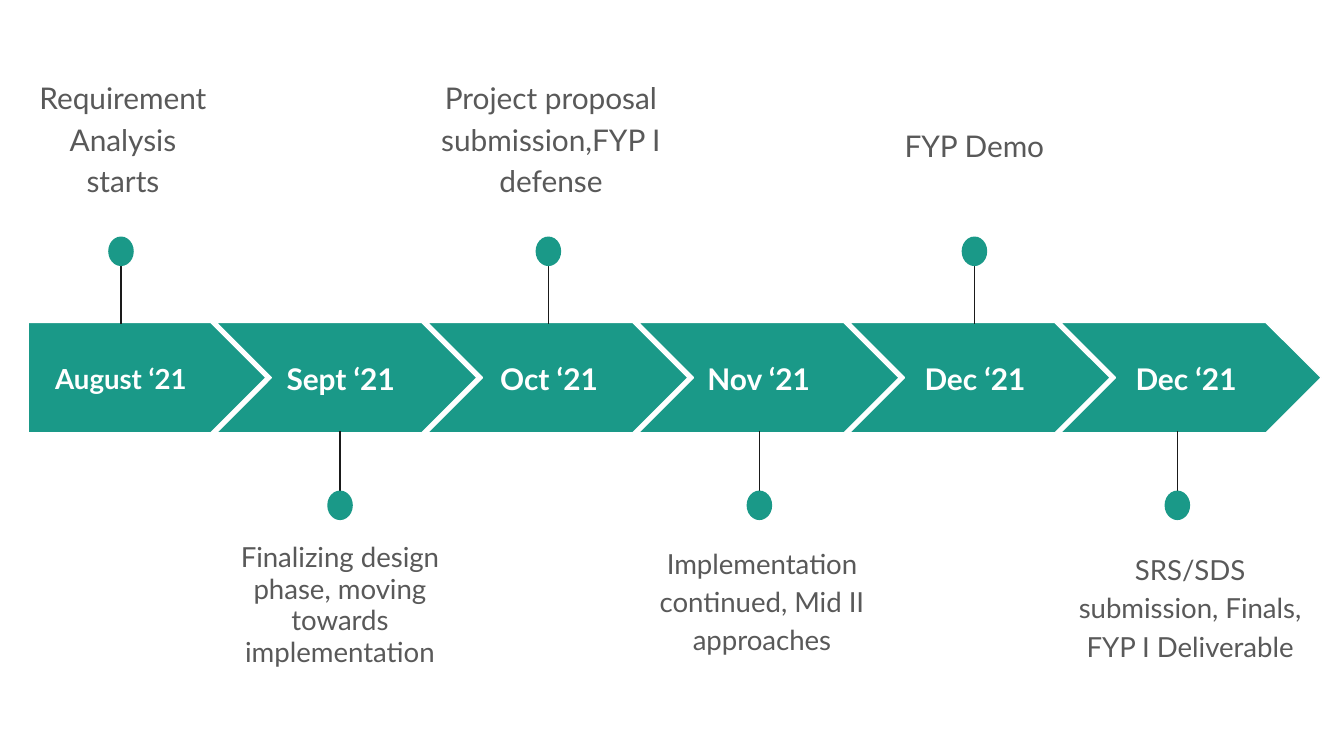
"""Build a six-step project timeline with pinned notes above and below."""
from lxml.etree import SubElement
from pptx import Presentation
from pptx.dml.color import RGBColor
from pptx.enum.shapes import MSO_CONNECTOR, MSO_SHAPE
from pptx.enum.text import MSO_ANCHOR, PP_ALIGN
from pptx.oxml.ns import qn
from pptx.util import Inches, Pt

TEAL, WHITE, GREY, BLACK = "1A9988", "FFFFFF", "595959", "1A1A1A"
PITCH, START, STEP = 1.57, 0.04, 1.94
TOP, HIGH = 2.4, 0.82
DOT_W, DOT_H = 0.19, 0.22


def paint(fill, color):
    fill.solid()
    fill.fore_color.rgb = RGBColor.from_string(color)


def write(slide, text, left, top, wide, high, size, color, bold=False, lead=None):
    box = slide.shapes.add_textbox(*map(Inches, (left, top, wide, high)))
    frame = box.text_frame
    frame.word_wrap = True
    frame.vertical_anchor = MSO_ANCHOR.MIDDLE
    frame.margin_left = frame.margin_right = Inches(0.1)
    frame.margin_top = frame.margin_bottom = Inches(0.1)
    frame.text = text
    para = frame.paragraphs[0]
    para.alignment = PP_ALIGN.CENTER
    if lead:
        para.line_spacing = lead
        para.space_after = Pt(12)
    font = para.runs[0].font
    font.name, font.size, font.bold = "Lato", Pt(size), bold
    paint(font.fill, color)


deck = Presentation()
deck.slide_width = Inches(10)
deck.slide_height = deck.slide_width * 9 // 16
slide = deck.slides.add_slide(deck.slide_layouts[6])
paint(slide.background.fill, WHITE)

steps = [
    ("August ‘21", 0.21, 1.38, 14.8, 0.9,
     "Requirement Analysis starts", 0.19, 0.42, 1.45, 1.19, 1.15),
    ("Sept ‘21", 1.91, 1.25, 16, 2.53,
     "Finalizing design phase, moving towards implementation", 1.61, 3.91, 1.84, 1.19, 0.95),
    ("Oct ‘21", 3.46, 1.25, 16, 4.08,
     "Project proposal submission,FYP I defense", 3.18, 0.42, 1.84, 1.19, 1.15),
    ("Nov ‘21", 5.02, 1.25, 16, 5.65,
     "Implementation continued, Mid II approaches", 4.75, 3.91, 1.84, 1.09, 1.15),
    ("Dec ‘21", 6.63, 1.25, 16, 7.25,
     "FYP Demo", 6.56, 0.52, 1.38, 1.09, 1.15),
    ("Dec ‘21", 8.2, 1.25, 16, 8.76,
     "SRS/SDS submission, Finals, FYP I Deliverable", 7.88, 3.91, 1.95, 1.19, 1.15),
]

for col, (month, edge, wide, size, pin, note, *place, lead) in enumerate(steps):
    first, above = col == 0, col % 2 == 0
    left = START + col * PITCH
    right = left + STEP
    if first:
        left = 0.21
    kind = MSO_SHAPE.PENTAGON if first else MSO_SHAPE.CHEVRON
    arrow = slide.shapes.add_shape(kind, *map(Inches, (left, TOP, right - left, HIGH)))
    arrow.adjustments[0] = 0.5
    arrow.shadow.inherit = False
    paint(arrow.fill, TEAL)
    paint(arrow.line.fill, WHITE)
    arrow.line.width = Pt(0.75)
    write(slide, month, edge, 2.56, wide, 0.51, size, WHITE, bold=True)

    tip, base = (1.8, 2.41) if above else (3.82, 3.21)
    stem = slide.shapes.add_connector(
        MSO_CONNECTOR.STRAIGHT, *map(Inches, (pin, tip, pin, base)))
    paint(stem.line.fill, BLACK)
    stem.line.width = Pt(0.75)
    SubElement(stem._element.spPr, qn("a:effectLst"))

    dot = slide.shapes.add_shape(
        MSO_SHAPE.OVAL, *map(Inches, (pin - DOT_W / 2, 1.76 if above else 3.65, DOT_W, DOT_H)))
    dot.shadow.inherit = False
    paint(dot.fill, TEAL)
    dot.line.fill.background()
    write(slide, note, *place, 16 if above else 14.8, GREY, lead=lead)

deck.save("out.pptx")
